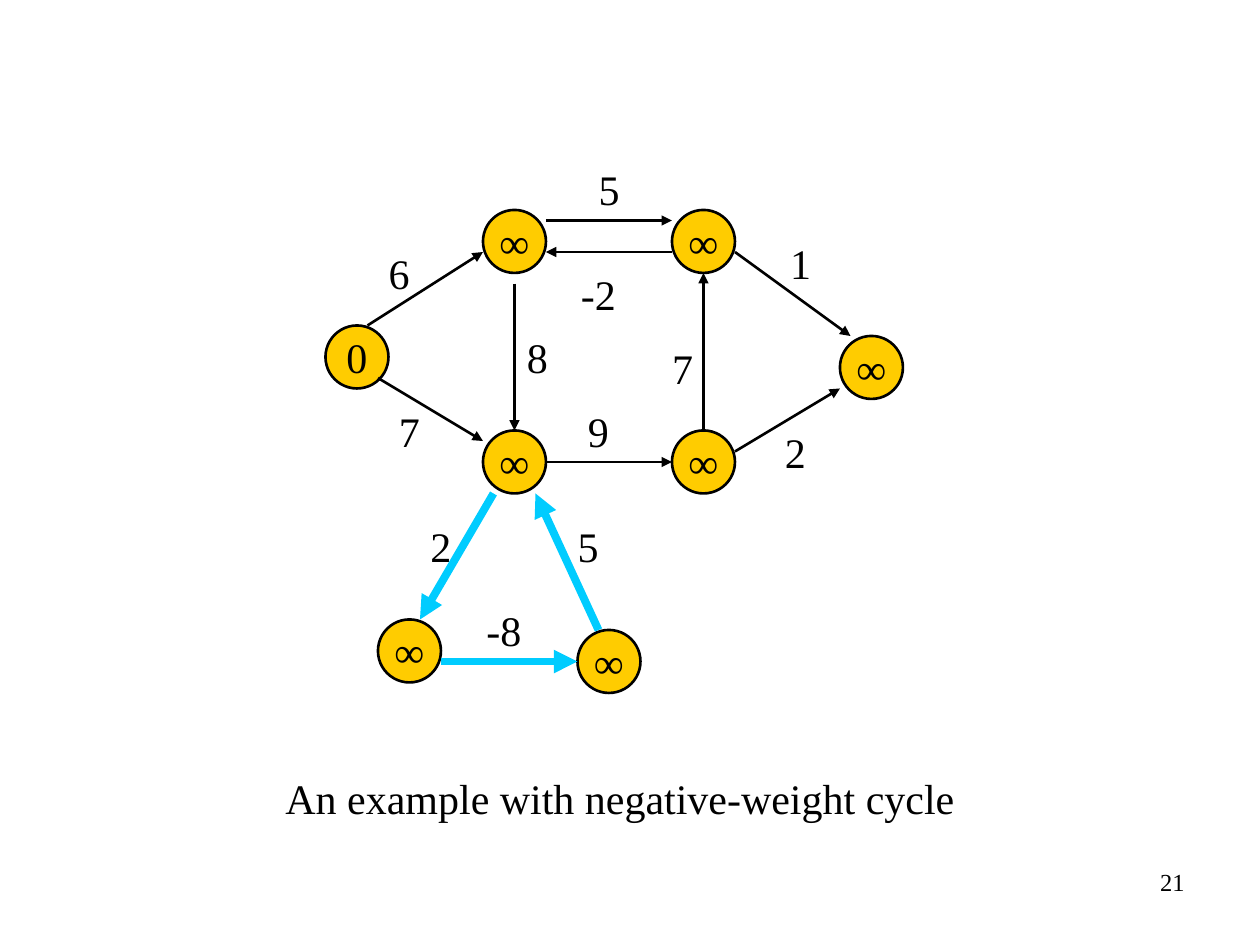
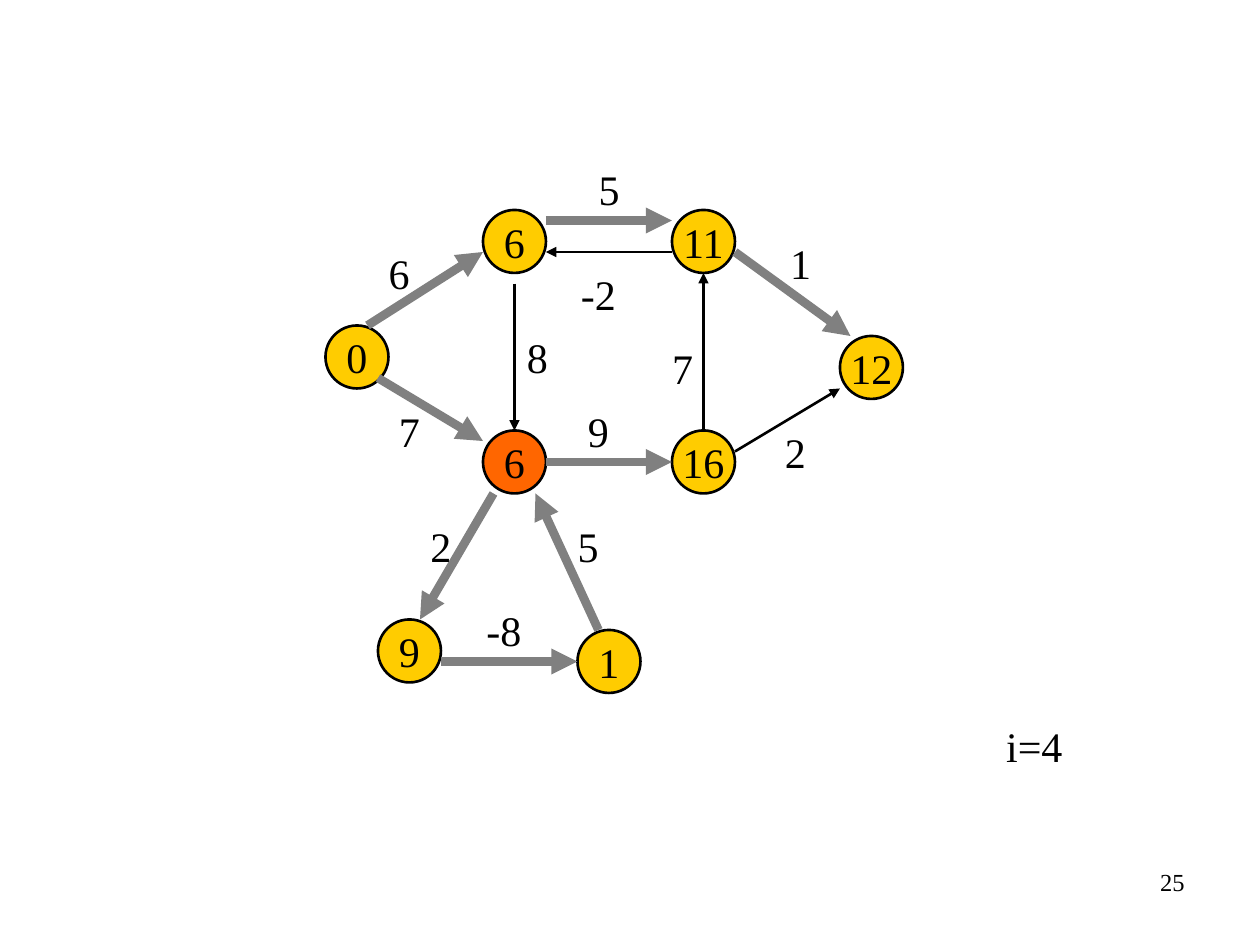
from dataclasses import dataclass

from lxml.etree import SubElement
from pptx import Presentation
from pptx.dml.color import RGBColor
from pptx.enum.shapes import MSO_CONNECTOR, MSO_SHAPE
from pptx.enum.text import MSO_ANCHOR, MSO_AUTO_SIZE, PP_ALIGN
from pptx.oxml.ns import qn
from pptx.util import Pt


@dataclass(frozen=True)
class Theme:
    font: str = "Times New Roman"
    body_size: float = 24
    number_size: float = 14
    ink: str = "000000"
    node: str = "FFCC00"
    changed_node: str = "FF6600"
    cycle: str = "00CCFF"
    tree: str = "808080"
    thin: float = 1.5
    cycle_width: float = 4.5
    tree_width: float = 5


THEME = Theme()
NODE_SIZE = 36
LABEL_HEIGHT = 36
LABEL_PADDING = 14.4
GLYPH_WIDTH = {"-": 8}
DIGIT_WIDTH = 12

# The graph: node centres in points
NODES = {
    "source": (204, 204),
    "low left": (294, 264),
    "top left": (294, 138),
    "low right": (402, 264),
    "sink": (498, 210),
    "top right": (402, 138),
    "cycle right": (348, 378),
    "cycle left": (234, 372),
}

# Edge name: start, end, weight, centre of the weight
EDGES = {
    "source-top": ((210, 186), (276, 144), "6", (228, 156)),
    "source-low": ((216, 216), (276, 252), "7", (234, 246)),
    "top-right": ((312, 126), (384, 126), "5", (348, 108)),
    "top-back": ((384, 144), (312, 144), "-2", (342, 168)),
    "left-down": ((294, 162), (294, 246), "8", (307, 204)),
    "low-right": ((312, 264), (384, 264), "9", (342, 246)),
    "right-up": ((402, 246), (402, 156), "7", (390, 210)),
    "top-sink": ((420, 144), (486, 192), "1", (457.5, 150)),
    "low-sink": ((420, 258), (480, 222), "2", (454.5, 258)),
    "cycle-down": ((282, 282), (240, 354), "2", (252, 312)),
    "cycle-across": ((252, 378), (330, 378), "-8", (288, 360)),
    "cycle-up": ((342, 360), (306, 282), "5", (336, 312)),
}

CYCLE = ["cycle-down", "cycle-across", "cycle-up"]
TREE = ["source-top", "source-low", "top-right", "low-right", "top-sink"]

# Distances follow the order of NODES
PAGES = [
    {
        "number": "21",
        "distances": ["0"] + ["∞"] * 7,
        "changed": [],
        "strong": CYCLE,
        "strong_style": (THEME.cycle, THEME.cycle_width),
        "caption": "An example with negative-weight cycle",
        "caption_area": (156, 438, 397, 36),
        "caption_align": PP_ALIGN.LEFT,
        "caption_anchor": MSO_ANCHOR.MIDDLE,
    },
    {
        "number": "25",
        "distances": ["0", "6", "6", "16", "12", "11", "1", "9"],
        "changed": ["low left"],
        "strong": TREE + CYCLE,
        "strong_style": (THEME.tree, THEME.tree_width),
        "caption": "i=4",
        "caption_area": (510, 408, 162, 36),
        "caption_align": PP_ALIGN.CENTER,
        "caption_anchor": MSO_ANCHOR.TOP,
    },
]
NUMBER_AREA = (516, 492, 168, 37.5)


def colour(code):
    return RGBColor.from_string(code)


def centred(centre, width, height):
    return centre[0] - width / 2, centre[1] - height / 2, width, height


def write(shape, text, size=THEME.body_size, align=PP_ALIGN.CENTER,
          anchor=MSO_ANCHOR.MIDDLE, wrap=False):
    frame = shape.text_frame
    frame.word_wrap = wrap
    frame.vertical_anchor = anchor
    para = frame.paragraphs[0]
    para.alignment = align
    span = para.add_run()
    span.text = text
    span.font.name = THEME.font
    span.font.size = Pt(size)
    span.font.color.rgb = colour(THEME.ink)


def add_text(page, area, text, grow=True, **style):
    box = page.shapes.add_textbox(*map(Pt, area))
    write(box, text, **style)
    box.text_frame.auto_size = (
        MSO_AUTO_SIZE.SHAPE_TO_FIT_TEXT if grow else MSO_AUTO_SIZE.NONE)


def add_node(page, centre, distance, fill):
    area = centred(centre, NODE_SIZE, NODE_SIZE)
    node = page.shapes.add_shape(MSO_SHAPE.OVAL, *map(Pt, area))
    node.shadow.inherit = False
    node.fill.solid()
    node.fill.fore_color.rgb = colour(fill)
    node.line.color.rgb = colour(THEME.ink)
    node.line.width = Pt(THEME.thin)
    write(node, distance)


def add_arrow(page, start, end, code, width):
    arrow = page.shapes.add_connector(
        MSO_CONNECTOR.STRAIGHT, *map(Pt, start + end))
    arrow.line.color.rgb = colour(code)
    arrow.line.width = Pt(width)
    SubElement(arrow.line._get_or_add_ln(), qn("a:tailEnd"), type="triangle")
    SubElement(arrow._element.spPr, qn("a:effectLst"))


def add_weight(page, centre, weight):
    glyphs = sum(GLYPH_WIDTH.get(sign, DIGIT_WIDTH) for sign in weight)
    add_text(page, centred(centre, glyphs + LABEL_PADDING, LABEL_HEIGHT), weight)


def build_page(deck, content):
    page = deck.slides.add_slide(deck.slide_layouts[6])

    # Page number
    add_text(page, NUMBER_AREA, content["number"], grow=False, wrap=True,
             size=THEME.number_size, align=PP_ALIGN.RIGHT, anchor=MSO_ANCHOR.TOP)

    # Nodes with their distances
    for (name, centre), distance in zip(NODES.items(), content["distances"]):
        fill = THEME.changed_node if name in content["changed"] else THEME.node
        add_node(page, centre, distance, fill)

    # Edges, then their weights on top
    for name, (start, end, _, _) in EDGES.items():
        strong = name in content["strong"]
        style = content["strong_style"] if strong else (THEME.ink, THEME.thin)
        add_arrow(page, start, end, *style)
    for _, _, weight, centre in EDGES.values():
        add_weight(page, centre, weight)

    # Caption
    add_text(page, content["caption_area"], content["caption"], wrap=True,
             align=content["caption_align"], anchor=content["caption_anchor"])


deck = Presentation()
deck.slide_width, deck.slide_height = Pt(720), Pt(540)
for content in PAGES:
    build_page(deck, content)
deck.save("out.pptx")
